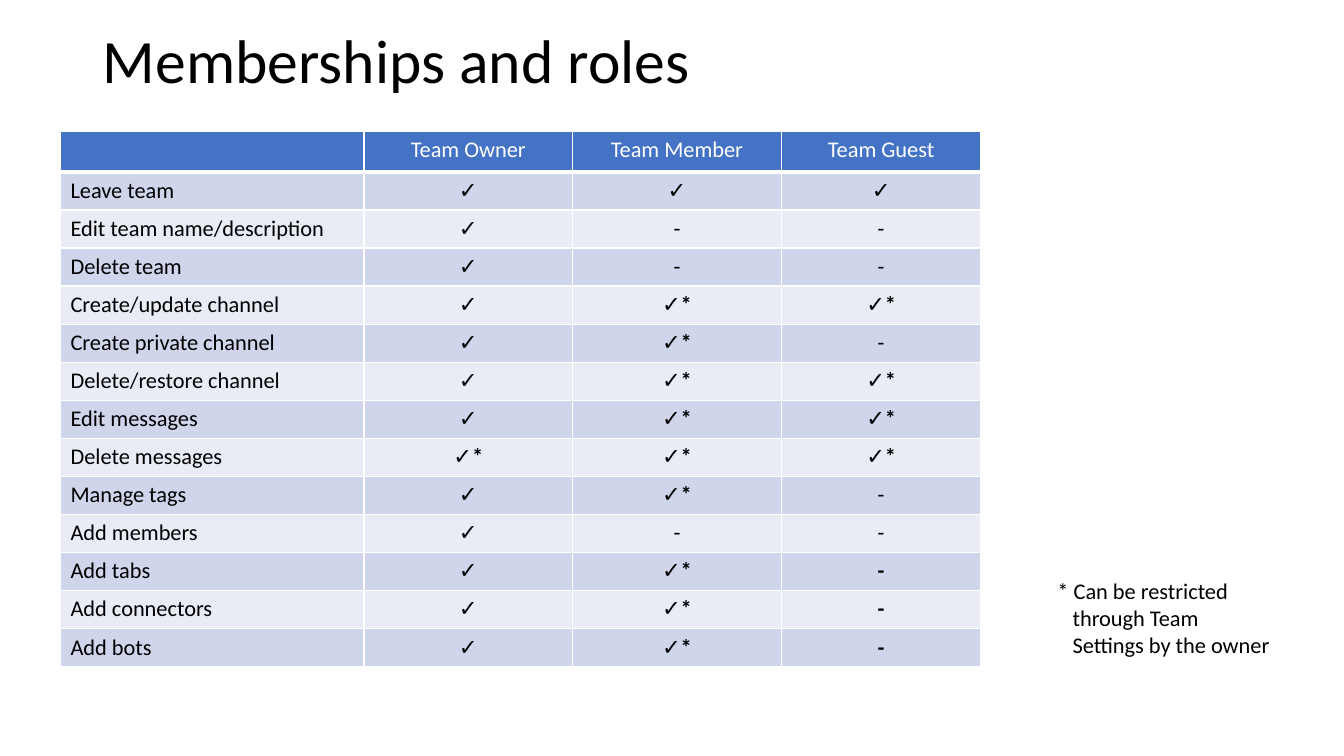
from dataclasses import dataclass

from lxml import etree
from pptx import Presentation, util as u
from pptx.dml.color import RGBColor
from pptx.enum import text
from pptx.oxml import ns

FONT = "Calibri"
BLACK = RGBColor(0x00, 0x00, 0x00)
WHITE = RGBColor(0xFF, 0xFF, 0xFF)
HEADER_BLUE = RGBColor(0x44, 0x72, 0xC4)
BAND_DARK = RGBColor(0xCF, 0xD5, 0xEA)
BAND_LIGHT = RGBColor(0xE9, 0xEB, 0xF5)

LEFT = text.PP_ALIGN.LEFT
CENTER = text.PP_ALIGN.CENTER

YES, LIMITED, NO = "✓", "✓*", "-"


@dataclass
class Permission:
    task: str
    owner: str
    member: str
    guest: str
    bold_dash: bool = False


HEADINGS = ["", "Team Owner", "Team Member", "Team Guest"]
COLUMN_WIDTHS = [3.01, 2.07, 2.07, 1.98]
TABLE_HEIGHT = 5.29
PERMISSIONS = [
    Permission("Leave team", YES, YES, YES),
    Permission("Edit team name/description", YES, NO, NO),
    Permission("Delete team", YES, NO, NO),
    Permission("Create/update channel", YES, LIMITED, LIMITED),
    Permission("Create private channel", YES, LIMITED, NO),
    Permission("Delete/restore channel", YES, LIMITED, LIMITED),
    Permission("Edit messages", YES, LIMITED, LIMITED),
    Permission("Delete messages", LIMITED, LIMITED, LIMITED),
    Permission("Manage tags", YES, LIMITED, NO),
    Permission("Add members", YES, NO, NO),
    Permission("Add tabs", YES, LIMITED, NO, bold_dash=True),
    Permission("Add connectors", YES, LIMITED, NO, bold_dash=True),
    Permission("Add bots", YES, LIMITED, NO, bold_dash=True),
]
NOTE_LINES = ["* Can be restricted", "through Team", "Settings by the owner"]


def write(para, words: str, size: float = 16, color: RGBColor = BLACK,
          bold: bool = False, align=LEFT) -> None:
    """Put formatted words into a paragraph."""
    para.alignment = align
    if not words:
        return
    span = para.add_run()
    span.text = words
    span.font.name = FONT
    span.font.size = u.Pt(size)
    span.font.bold = bold
    span.font.color.rgb = color


def set_borders(cell, bottom: float = 1) -> None:
    """Draw white cell borders; the widths are in points."""
    properties = cell._tc.get_or_add_tcPr()
    widths = {"a:lnL": 1, "a:lnR": 1, "a:lnT": 1, "a:lnB": bottom}
    for position, (tag, width) in enumerate(widths.items()):
        line = etree.Element(ns.qn(tag), w=str(u.Pt(width)))
        fill = etree.SubElement(line, ns.qn("a:solidFill"))
        etree.SubElement(fill, ns.qn("a:srgbClr"), val=str(WHITE))
        properties.insert(position, line)


def fill_cell(cell, words: str, fill: RGBColor, bottom: float = 1, **style) -> None:
    cell.fill.solid()
    cell.fill.fore_color.rgb = fill
    set_borders(cell, bottom)
    write(cell.text_frame.paragraphs[0], words, **style)


def add_title(page) -> None:
    box = page.shapes.title
    box.left, box.top = u.Inches(0.92), u.Inches(0.25)
    box.width, box.height = u.Inches(11.5), u.Inches(0.76)
    frame = box.text_frame
    frame.auto_size = text.MSO_AUTO_SIZE.NONE
    frame.vertical_anchor = text.MSO_ANCHOR.MIDDLE
    frame.paragraphs[0].line_spacing = 0.9
    write(frame.paragraphs[0], "Memberships and roles", size=44)


def add_permission_table(page) -> None:
    row_count = len(PERMISSIONS) + 1
    table = page.shapes.add_table(
        row_count, len(HEADINGS), u.Inches(0.6), u.Inches(1.3),
        u.Inches(sum(COLUMN_WIDTHS)), u.Inches(TABLE_HEIGHT)).table
    for column, width in zip(table.columns, COLUMN_WIDTHS):
        column.width = u.Inches(width)
    for row in table.rows:
        row.height = u.Inches(TABLE_HEIGHT / row_count)

    # Header row
    for column, heading in enumerate(HEADINGS):
        fill_cell(table.cell(0, column), heading, HEADER_BLUE, bottom=3,
                  color=WHITE, align=CENTER)

    # Banded rows: the task, then one mark per role
    for row, item in enumerate(PERMISSIONS, start=1):
        band = BAND_DARK if row % 2 else BAND_LIGHT
        fill_cell(table.cell(row, 0), item.task, band)
        for column, mark in enumerate((item.owner, item.member, item.guest), start=1):
            fill_cell(table.cell(row, column), mark, band, align=CENTER,
                      bold=mark != NO or item.bold_dash)


def add_note(page) -> None:
    box = page.shapes.add_textbox(u.Inches(10.39), u.Inches(5.68),
                                  u.Inches(2.73), u.Inches(0.91))
    frame = box.text_frame
    frame.word_wrap = True
    frame.auto_size = text.MSO_AUTO_SIZE.SHAPE_TO_FIT_TEXT
    for index, words in enumerate(NOTE_LINES):
        para = frame.add_paragraph() if index else frame.paragraphs[0]
        if index:
            para._p.get_or_add_pPr().set("marL", str(u.Inches(0.15)))
        write(para, words)


def main() -> None:
    deck = Presentation()
    deck.slide_width, deck.slide_height = u.Inches(13.33), u.Inches(7.5)
    page = deck.slides.add_slide(deck.slide_layouts.get_by_name("Title Only"))
    add_title(page)
    add_permission_table(page)
    add_note(page)
    deck.save("out.pptx")


if __name__ == "__main__":
    main()
